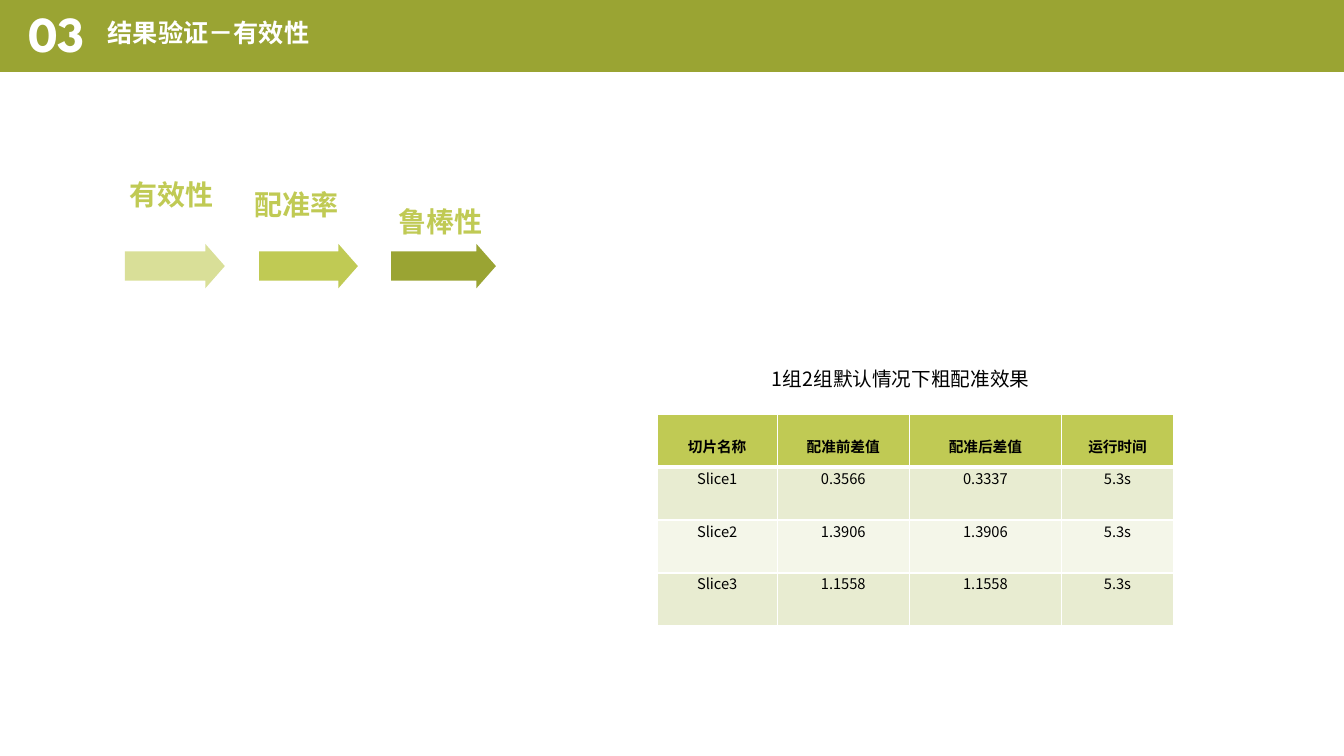
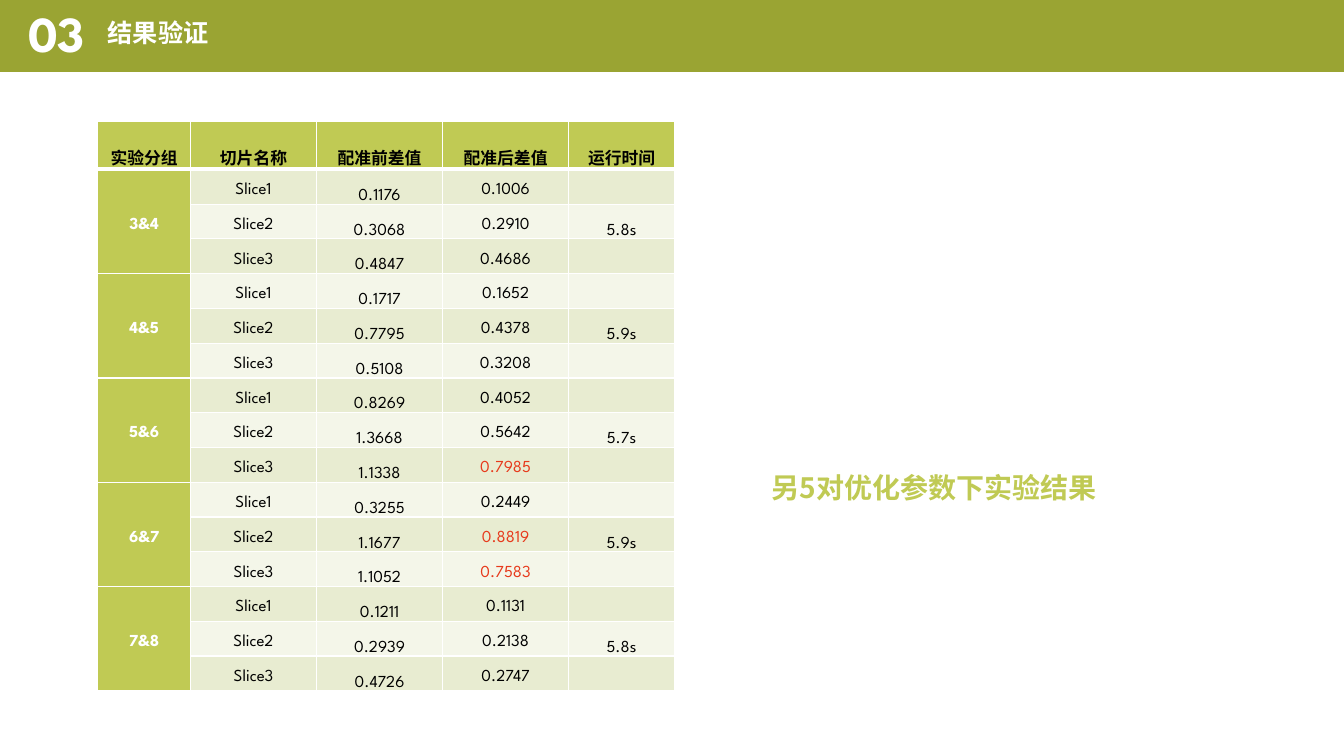
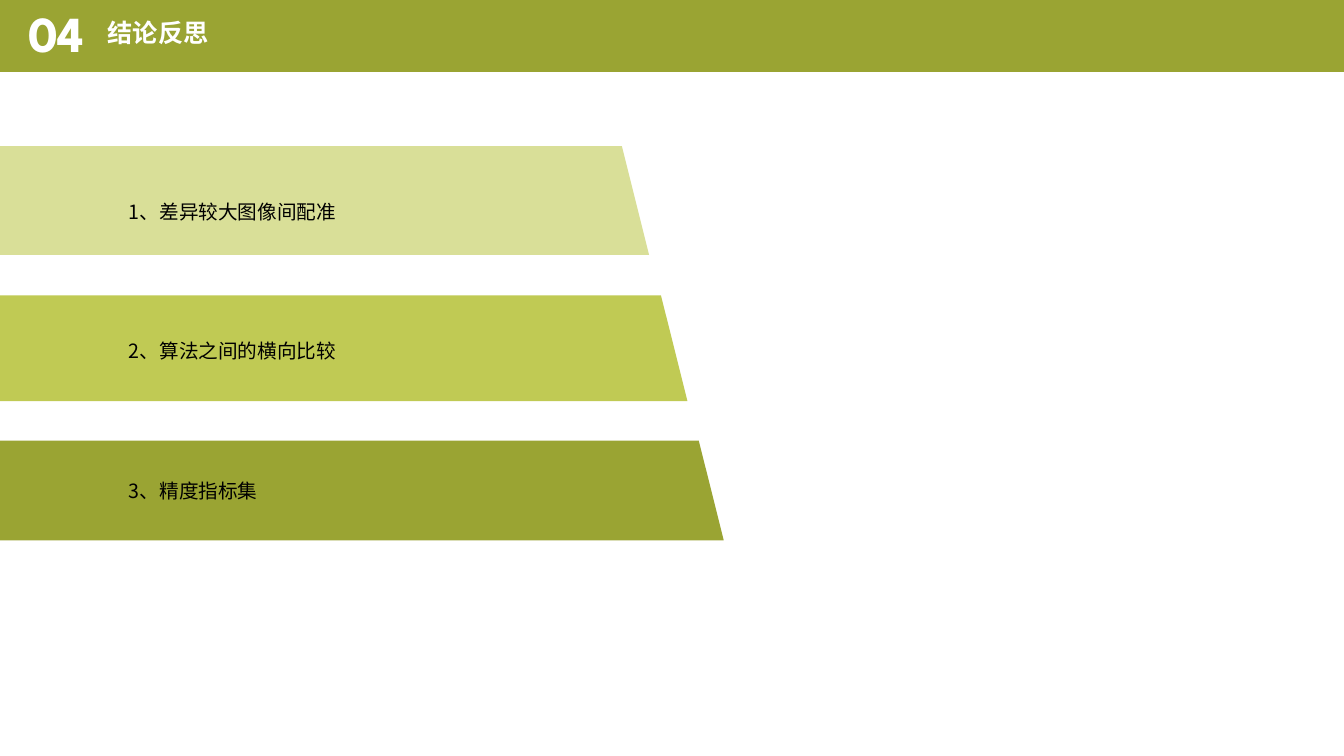
"""Build three slides on image registration results and conclusions."""
import lxml.etree
import pptx
import pptx.dml.color
import pptx.enum.shapes
import pptx.enum.text
import pptx.oxml.ns
import pptx.util

RGBColor = pptx.dml.color.RGBColor
SHAPE = pptx.enum.shapes.MSO_SHAPE
ALIGN = pptx.enum.text.PP_ALIGN
ANCHOR = pptx.enum.text.MSO_ANCHOR
Pt = pptx.util.Pt
qn = pptx.oxml.ns.qn

OLIVE = RGBColor(0x9A, 0xA4, 0x33)
LIME = RGBColor(0xC0, 0xCA, 0x54)
PALE = RGBColor(0xD9, 0xDF, 0x98)
STRIPE = RGBColor(0xE8, 0xEC, 0xD1)
STRIPE_LIGHT = RGBColor(0xF4, 0xF6, 0xE9)
RED = RGBColor(0xE7, 0x3A, 0x1C)
BLACK = RGBColor(0, 0, 0)
WHITE = RGBColor(0xFF, 0xFF, 0xFF)
CJK = "Noto Sans CJK SC"
SPARTAN = "League Spartan"
SERIF = "Times New Roman"

prs = pptx.Presentation()
prs.slide_width = pptx.util.Inches(13.333)
prs.slide_height = pptx.util.Inches(7.5)
X = prs.slide_width / 100
Y = prs.slide_height / 100


def area(x, y, w, h):
    return int(x * X), int(y * Y), int(w * X), int(h * Y)


def write(tf, text, size=14, color=BLACK, bold=False, font=CJK,
          align=ALIGN.LEFT, spacing=1.0, anchor=ANCHOR.TOP):
    tf.word_wrap = True
    tf.vertical_anchor = anchor
    p = tf.paragraphs[0]
    p.alignment = align
    p.line_spacing = spacing
    if not text:
        lxml.etree.SubElement(p._p, qn("a:endParaRPr"), sz=str(int(size * 100)))
        return
    r = p.add_run()
    r.text = text
    r.font.size = Pt(size)
    r.font.bold = bold
    r.font.color.rgb = color
    r.font.name = font
    lxml.etree.SubElement(r._r.get_or_add_rPr(), qn("a:ea"), typeface=CJK)


slides = []
for number, title in [("03", "结果验证－有效性"), ("03", "结果验证"), ("04", "结论反思")]:
    s = prs.slides.add_slide(prs.slide_layouts[6])
    slides.append(s)
    band = s.shapes.add_shape(SHAPE.RECTANGLE, *area(0, 0, 100, 9.5))
    band.shadow.inherit = False
    band.fill.solid()
    band.fill.fore_color.rgb = OLIVE
    band.line.fill.background()
    write(s.shapes.add_textbox(*area(7.28, 2.13, 31.35, 5.33)).text_frame, title,
          size=18, color=WHITE, bold=True, font=SPARTAN, spacing=0.9)
    write(s.shapes.add_textbox(*area(1.35, 1.2, 5.93, 7.07)).text_frame, number,
          size=36, color=WHITE, bold=True, font=SPARTAN, spacing=0.9, anchor=ANCHOR.MIDDLE)
validity, results, conclusion = slides

blocks = [
    (validity, SHAPE.RIGHT_ARROW, (9.3, 32.27, 7.43, 5.87), PALE),
    (validity, SHAPE.RIGHT_ARROW, (19.28, 32.27, 7.35, 5.87), LIME),
    (validity, SHAPE.RIGHT_ARROW, (29.1, 32.27, 7.8, 5.87), OLIVE),
    (conclusion, SHAPE.TRAPEZOID, (-10.65, 58.27, 64.5, 13.2), OLIVE),
    (conclusion, SHAPE.TRAPEZOID, (-7.88, 39.07, 59.03, 14), LIME),
    (conclusion, SHAPE.TRAPEZOID, (-5.1, 19.33, 53.4, 14.4), PALE),
]
for s, kind, place, color in blocks:
    sp = s.shapes.add_shape(kind, *area(*place))
    sp.shadow.inherit = False
    sp.fill.solid()
    sp.fill.fore_color.rgb = color
    sp.line.fill.background()
    if kind == SHAPE.RIGHT_ARROW:
        sp.adjustments[0] = 0.66
        sp.adjustments[1] = 0.44

heading = dict(size=20, color=LIME, bold=True, spacing=1.3)
item = dict(spacing=1.3)
labels = [
    (validity, "有效性", (8.93, 21.47, 18.68, 7.2), heading),
    (validity, "配准率", (18.23, 22.8, 18.68, 7.2), heading),
    (validity, "鲁棒性", (28.88, 25.07, 18.68, 7.2), heading),
    (validity, "1组2组默认情况下粗配准效果", (56.7, 47.87, 33.3, 4.53), {}),
    (results, "另5对优化参数下实验结果", (56.7, 60.27, 35.93, 7.2), heading),
    (conclusion, "1、差异较大图像间配准", (8.85, 24.8, 34.58, 5.47), item),
    (conclusion, "2、算法之间的横向比较", (8.85, 43.27, 34.58, 5.47), item),
    (conclusion, "3、精度指标集", (8.85, 61.73, 34.58, 5.47), item),
]
for s, text, place, style in labels:
    write(s.shapes.add_textbox(*area(*place)).text_frame, text, **style)

columns = ["切片名称", "配准前差值", "配准后差值", "运行时间"]
coarse = [
    columns,
    ["Slice1", "0.3566", "0.3337", "5.3s"],
    ["Slice2", "1.3906", "1.3906", "5.3s"],
    ["Slice3", "1.1558", "1.1558", "5.3s"],
]
groups = [
    ("3&4", "5.8s", ["0.1176", "0.3068", "0.4847"], ["0.1006", "0.2910", "0.4686"]),
    ("4&5", "5.9s", ["0.1717", "0.7795", "0.5108"], ["0.1652", "0.4378", "0.3208"]),
    ("5&6", "5.7s", ["0.8269", "1.3668", "1.1338"], ["0.4052", "0.5642", "0.7985"]),
    ("6&7", "5.9s", ["0.3255", "1.1677", "1.1052"], ["0.2449", "0.8819", "0.7583"]),
    ("7&8", "5.8s", ["0.1211", "0.2939", "0.4726"], ["0.1131", "0.2138", "0.2747"]),
]
optimized = [["实验分组"] + columns]
for name, time, before, after in groups:
    for i in range(3):
        optimized.append([name if i == 0 else "", f"Slice{i + 1}", before[i], after[i],
                          time if i == 1 else ""])

T, M, B = ANCHOR.TOP, ANCHOR.MIDDLE, ANCHOR.BOTTOM
tables = [
    dict(s=validity, rows=coarse, at=(48.9, 54.8), widths=[8.93, 9.83, 11.33, 8.33],
         head=7, row=7, size=10.5, fonts=(SERIF, CJK), spacing=1.0, inset=0.07,
         head_anchors=[T] * 4, anchors=[T] * 4, grouped=False),
    dict(s=results, rows=optimized, at=(7.28, 16), widths=[6.9, 9.38, 9.38, 9.38, 7.88],
         head=6.4, row=4.6, size=12, fonts=(CJK, SPARTAN), spacing=1.5, inset=0.06,
         head_anchors=[B, M, M, M, M], anchors=[M, M, B, M, B], grouped=True),
]
for t in tables:
    rows, widths = t["rows"], t["widths"]
    height = t["head"] + t["row"] * (len(rows) - 1)
    table = t["s"].shapes.add_table(len(rows), len(widths),
                                    *area(*t["at"], sum(widths), height)).table
    for j, width in enumerate(widths):
        table.columns[j].width = int(width * X)
    for i, values in enumerate(rows):
        table.rows[i].height = int((t["row"] if i else t["head"]) * Y)
        for j, value in enumerate(values):
            cell = table.cell(i, j)
            cell.margin_left = cell.margin_right = pptx.util.Inches(t["inset"])
            cell.margin_top = cell.margin_bottom = 0
            for edge in "LRTB":
                thick = (i, edge) in [(0, "B"), (1, "T")]
                ln = lxml.etree.SubElement(cell._tc.get_or_add_tcPr(), qn(f"a:ln{edge}"),
                                           w=str(Pt(3 if thick else 1)))
                paint = lxml.etree.SubElement(ln, qn("a:solidFill"))
                lxml.etree.SubElement(paint, qn("a:srgbClr"), val=str(WHITE))
            is_group = t["grouped"] and i > 0 and j == 0
            is_poor = t["grouped"] and i > 0 and j == 3 and float(value) > 0.7
            cell.fill.solid()
            cell.fill.fore_color.rgb = (LIME if i == 0 or is_group
                                        else STRIPE if i % 2 else STRIPE_LIGHT)
            anchor = t["anchors" if i else "head_anchors"][j]
            cell.vertical_anchor = anchor
            write(cell.text_frame, value, size=t["size"],
                  color=WHITE if is_group else RED if is_poor else BLACK,
                  bold=i == 0 or is_group, font=t["fonts"][min(i, 1)],
                  align=ALIGN.CENTER, spacing=t["spacing"] if i else 2.0, anchor=anchor)
    if t["grouped"]:
        for i in range(1, len(rows), 3):
            table.cell(i, 0).merge(table.cell(i + 2, 0))

prs.save("out.pptx")
